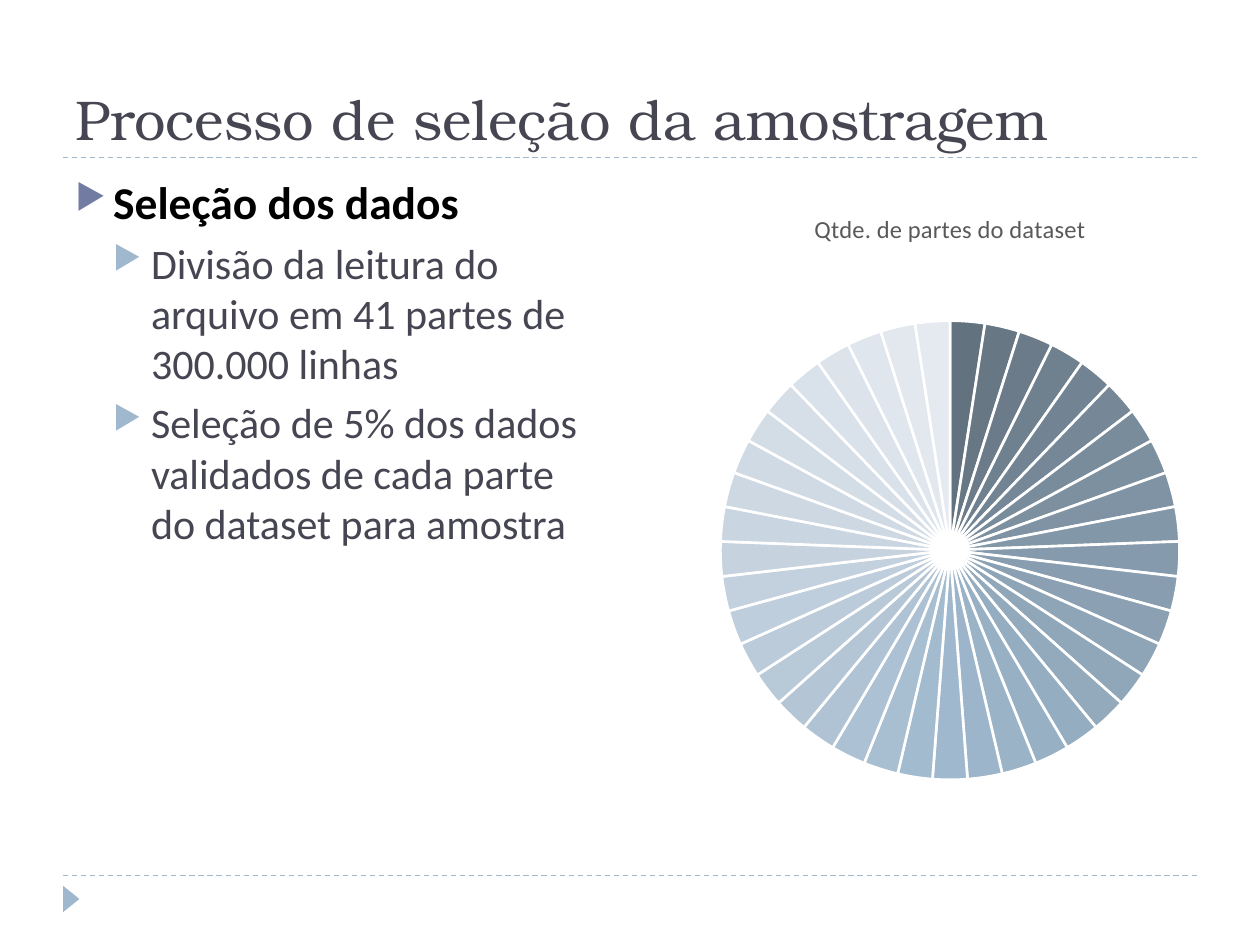
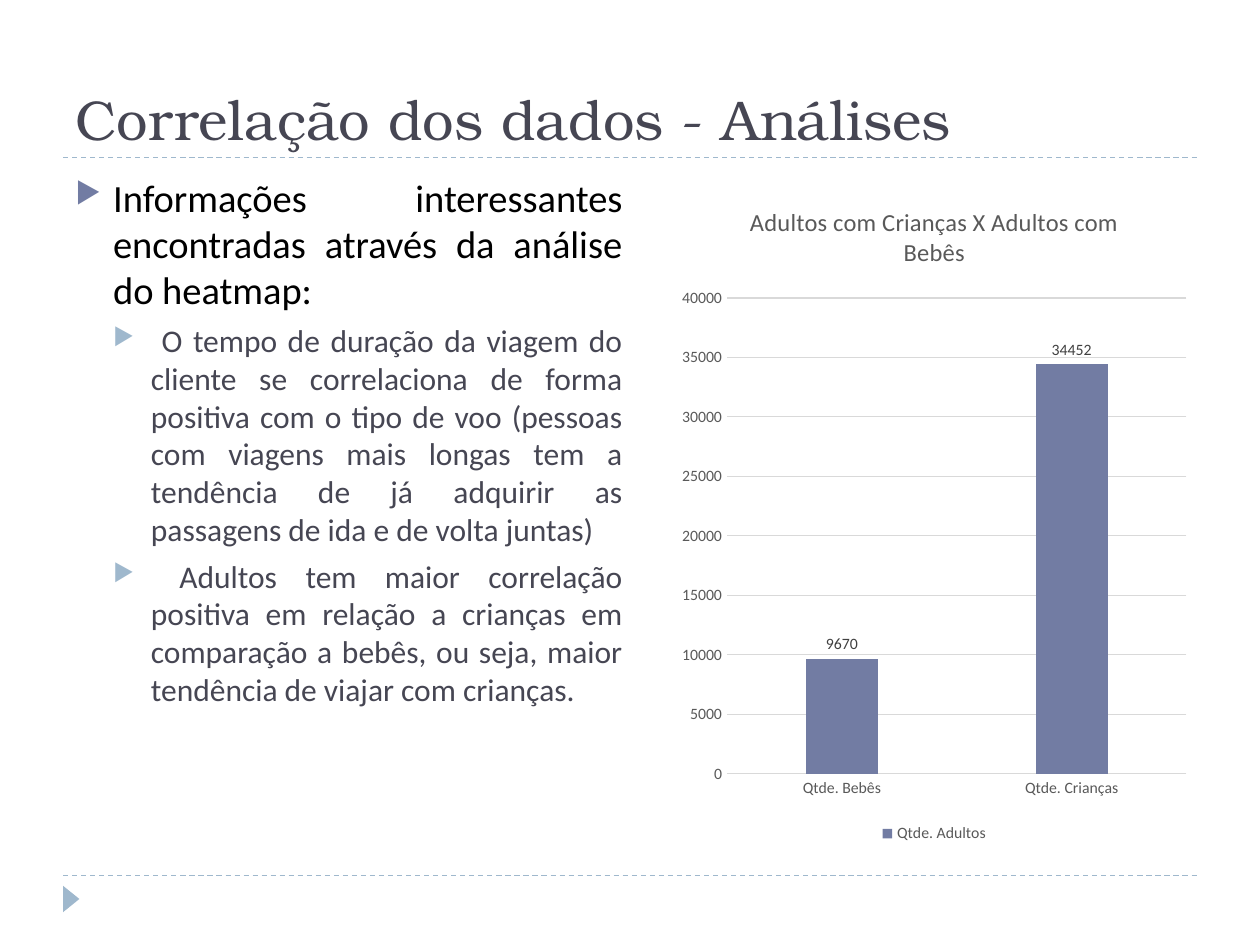
from lxml import etree
from pptx import Presentation
from pptx.chart.data import CategoryChartData
from pptx.dml.color import RGBColor
from pptx.enum import chart as ch, dml, shapes, text
from pptx.oxml import ns
from pptx.util import Inches, Pt

# Shared colours and fonts
INK = RGBColor(0x46, 0x46, 0x53)
BLACK = RGBColor(0, 0, 0)
WHITE = RGBColor(0xFF, 0xFF, 0xFF)
VIOLET = RGBColor(0x72, 0x7C, 0xA3)
BLUE = RGBColor(0x9F, 0xB8, 0xCD)
DARK_BLUE = RGBColor(0x63, 0x72, 0x7F)
PALE_BLUE = RGBColor(0xE5, 0xEA, 0xF0)
GRID = RGBColor(0xD9, 0xD9, 0xD9)
CHART_TEXT = RGBColor(0x59, 0x59, 0x59)
LABEL_TEXT = RGBColor(0x40, 0x40, 0x40)
TITLE_FONT, BODY_FONT = "TeX Gyre Bonum", "Calibri"

PARTS = 41


def set_font(font, size, color, name=BODY_FONT, bold=False):
    font.size = Pt(size)
    font.name = name
    font.bold = bold
    font.color.rgb = color


def add_rule(slide, y):
    line = slide.shapes.add_connector(
        shapes.MSO_CONNECTOR.STRAIGHT, Inches(0.5), Inches(y), Inches(9.5), Inches(y))
    line.line.color.rgb = BLUE
    line.line.width = Pt(0.75)
    line.line.dash_style = dml.MSO_LINE.DASH
    etree.SubElement(line._element.spPr, ns.qn("a:effectLst"))


def add_textbox(slide, left, top, width, height):
    tf = slide.shapes.add_textbox(
        Inches(left), Inches(top), Inches(width), Inches(height)).text_frame
    tf.word_wrap = True
    return tf


def add_base(prs, title):
    """New slide with its rules, corner marker and title."""
    slide = prs.slides.add_slide(prs.slide_layouts[6])
    add_rule(slide, 6.95)
    add_rule(slide, 1.25)
    marker = slide.shapes.add_shape(
        shapes.MSO_SHAPE.ISOSCELES_TRIANGLE,
        Inches(0.46), Inches(7.07), Inches(0.21), Inches(0.13))
    marker.rotation = 90
    marker.shadow.inherit = False
    marker.fill.solid()
    marker.fill.fore_color.rgb = BLUE
    marker.line.fill.background()

    tf = add_textbox(slide, 0.5, 0.25, 9, 1)
    tf.vertical_anchor = text.MSO_ANCHOR.BOTTOM
    tf.text = title
    set_font(tf.paragraphs[0].runs[0].font, 32, INK, TITLE_FONT)
    return slide


def add_bullet(p, level):
    color = BLUE if level else VIOLET
    p.level = level
    p.space_before = Pt(5 if level else 6)
    pPr = p._p.get_or_add_pPr()
    pPr.set("marL", str(Inches(0.3 * (level + 1))))
    pPr.set("indent", str(Inches(-0.3)))
    bu_color = etree.SubElement(pPr, ns.qn("a:buClr"))
    etree.SubElement(bu_color, ns.qn("a:srgbClr"), val=str(color))
    etree.SubElement(pPr, ns.qn("a:buSzPct"), val="76000")
    etree.SubElement(pPr, ns.qn("a:buChar"), char="▶")


def add_body(slide, width, heading, items, sizes, bold=False, align=None):
    """Heading bullet with second-level bullets under it."""
    tf = add_textbox(slide, 0.5, 1.33, width, 5.4)
    for i, words in enumerate([heading] + items):
        p = tf.paragraphs[0] if i == 0 else tf.add_paragraph()
        level = min(i, 1)
        p.text = words
        p.alignment = align
        add_bullet(p, level)
        set_font(p.runs[0].font, sizes[level], INK if level else BLACK,
                 bold=bold and not level)


def add_chart(slide, kind, box, title, categories, name, values):
    data = CategoryChartData()
    data.categories = categories
    data.add_series(name, values)
    chart = slide.shapes.add_chart(kind, *map(Inches, box), data).chart
    set_font(chart.font, 10, BLACK)
    chart.has_legend = False
    chart.has_title = True
    chart.chart_title.include_in_layout = False
    tf = chart.chart_title.text_frame
    tf.text = title
    set_font(tf.paragraphs[0].runs[0].font, 14, CHART_TEXT)
    return chart


def blend(start, end, share):
    """Mix two colours in linear light."""
    def to_linear(c):
        c /= 255
        return c / 12.92 if c <= 0.04 else ((c + 0.055) / 1.055) ** 2.4

    def to_srgb(v):
        return round(255 * (1.055 * v ** (1 / 2.4) - 0.055))

    return RGBColor(*(to_srgb(to_linear(a) * (1 - share) + to_linear(b) * share)
                      for a, b in zip(start, end)))


def add_parts_pie(slide):
    chart = add_chart(slide, ch.XL_CHART_TYPE.PIE, (5.58, 1.49, 3.92, 5.24),
                      "Qtde. de partes do dataset",
                      [str(n + 1) for n in range(PARTS)], "Series 1", [2] * PARTS)
    series = chart.plots[0].series[0]
    half = PARTS // 2
    for i in range(PARTS):
        if i <= half:
            color = blend(DARK_BLUE, BLUE, i / half)
        else:
            color = blend(BLUE, PALE_BLUE, (i - half) / half)
        fmt = series.points[i].format
        fmt.fill.solid()
        fmt.fill.fore_color.rgb = color
        fmt.line.color.rgb = WHITE
        fmt.line.width = Pt(1.5)


def style_line(line):
    line.color.rgb = GRID
    line.width = Pt(0.75)


def add_passenger_columns(slide):
    chart = add_chart(slide, ch.XL_CHART_TYPE.COLUMN_CLUSTERED, (5.33, 1.43, 4.17, 5.3),
                      "Adultos com Crianças X Adultos com Bebês",
                      ["Qtde. Bebês", "Qtde. Crianças"], "Qtde. Adultos", [9670, 34452])
    # Columns and their labels
    plot = chart.plots[0]
    plot.gap_width = 219
    plot.overlap = -27
    plot.vary_by_categories = False
    series = plot.series[0]
    series.format.fill.solid()
    series.format.fill.fore_color.rgb = VIOLET
    labels = series.data_labels
    labels.show_value = True
    labels.position = ch.XL_LABEL_POSITION.OUTSIDE_END
    set_font(labels.font, 9, LABEL_TEXT)
    # Axes
    for axis in (chart.category_axis, chart.value_axis):
        axis.major_tick_mark = axis.minor_tick_mark = ch.XL_TICK_MARK.NONE
        set_font(axis.tick_labels.font, 9, CHART_TEXT)
    style_line(chart.category_axis.format.line)
    chart.value_axis.format.line.fill.background()
    style_line(chart.value_axis.major_gridlines.format.line)
    # Legend
    chart.has_legend = True
    chart.legend.position = ch.XL_LEGEND_POSITION.BOTTOM
    chart.legend.include_in_layout = False
    set_font(chart.legend.font, 9, CHART_TEXT)


def main():
    prs = Presentation()
    prs.slide_width, prs.slide_height = Inches(10), Inches(7.5)

    # Sampling process
    slide = add_base(prs, "Processo de seleção da amostragem")
    add_body(slide, 4.42, "Seleção dos dados", [
        "Divisão da leitura do arquivo em 41 partes de 300.000 linhas",
        "Seleção de 5% dos dados validados de cada parte do dataset para amostra",
    ], sizes=(26, 24), bold=True)
    add_parts_pie(slide)

    # Correlation analysis
    slide = add_base(prs, "Correlação dos dados - Análises")
    add_body(slide, 4.54,
             "Informações interessantes encontradas através da análise do heatmap:", [
                 " O tempo de duração da viagem do cliente se correlaciona de forma "
                 "positiva com o tipo de voo (pessoas com viagens mais longas tem a "
                 "tendência de já adquirir as passagens de ida e de volta juntas)",
                 " Adultos tem maior correlação positiva em relação a crianças em "
                 "comparação a bebês, ou seja, maior tendência de viajar com crianças.",
             ], sizes=(22, 18), align=text.PP_ALIGN.JUSTIFY)
    add_passenger_columns(slide)

    prs.save("out.pptx")


main()
